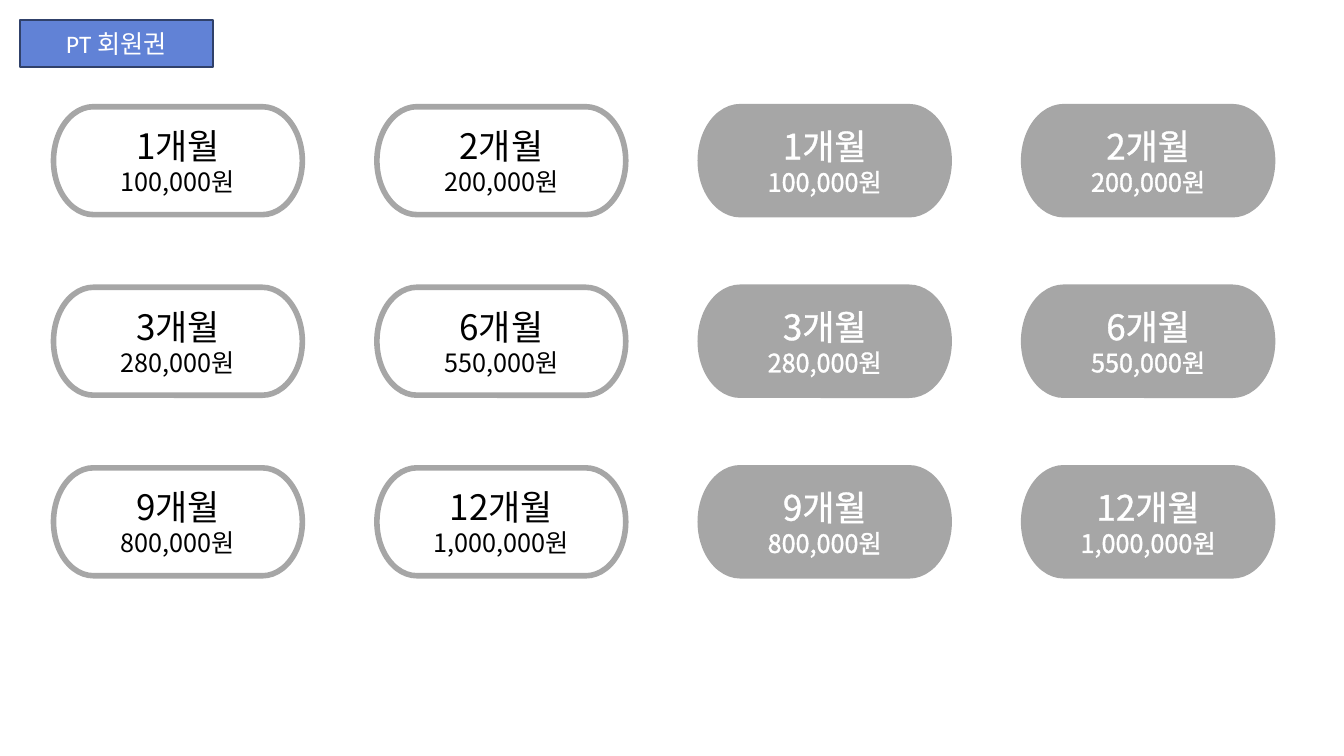
from dataclasses import dataclass

from lxml.etree import SubElement
from pptx import Presentation
from pptx.dml.color import RGBColor
from pptx.enum.shapes import MSO_SHAPE
from pptx.enum.text import MSO_ANCHOR, MSO_AUTO_SIZE, PP_ALIGN
from pptx.oxml.ns import qn
from pptx.slide import Slide
from pptx.text.text import TextFrame
from pptx.util import Cm, Pt

BLACK = RGBColor(0x00, 0x00, 0x00)
WHITE = RGBColor(0xFF, 0xFF, 0xFF)
GRAY = RGBColor(0xA6, 0xA6, 0xA6)
BLUE = RGBColor(0x61, 0x82, 0xD6)
NAVY = RGBColor(0x30, 0x41, 0x6A)
SANS = "Noto Sans CJK KR"

LEFT, TOP = 1.35, 2.69
WIDTH, HEIGHT = 6.27, 2.72
STEP_X, STEP_Y = 8.15, 4.55
COLS = 2


@dataclass
class Plan:
    term: str
    price: str


@dataclass
class Style:
    fill: RGBColor
    ink: RGBColor
    start: int  # first grid column


PLANS = [
    Plan("1개월", "100,000원"),
    Plan("2개월", "200,000원"),
    Plan("3개월", "280,000원"),
    Plan("6개월", "550,000원"),
    Plan("9개월", "800,000원"),
    Plan("12개월", "1,000,000원"),
]
STYLES = [Style(WHITE, BLACK, 0), Style(GRAY, WHITE, 2)]


def write(frame: TextFrame, text: str, *, size: float, color: RGBColor,
          font: str = SANS, edge: bool = False, first: bool = True) -> None:
    """Write one centred paragraph; edge outlines its letters."""
    para = frame.paragraphs[0] if first else frame.add_paragraph()
    para.alignment = PP_ALIGN.CENTER
    run = para.add_run()
    run.text = text
    run.font.size = Pt(size)
    run.font.name = font
    run.font.color.rgb = color
    props = run.font._element
    east = SubElement(props, qn("a:ea"), typeface=SANS)
    props.find(qn("a:latin")).addnext(east)
    if edge:
        line = SubElement(props, qn("a:ln"), w=str(Pt(0.75)))
        fill = SubElement(line, qn("a:solidFill"))
        SubElement(fill, qn("a:srgbClr"), val=str(color))
        props.insert(0, line)


def add_plan(slide: Slide, plan: Plan, style: Style, row: int, col: int) -> None:
    left = LEFT + (style.start + col) * STEP_X
    pill = slide.shapes.add_shape(
        MSO_SHAPE.FLOWCHART_TERMINATOR,
        Cm(left), Cm(TOP + row * STEP_Y), Cm(WIDTH), Cm(HEIGHT))
    pill.shadow.inherit = False
    pill.fill.solid()
    pill.fill.fore_color.rgb = style.fill
    pill.line.color.rgb = GRAY
    pill.line.width = Pt(4)
    frame = pill.text_frame
    frame.vertical_anchor = MSO_ANCHOR.MIDDLE
    write(frame, plan.term, size=25, color=style.ink, edge=True)
    write(frame, plan.price, size=18, color=style.ink, edge=True, first=False)


def add_title(slide: Slide) -> None:
    title = slide.shapes.title
    title.left, title.top = Cm(0.51), Cm(0.51)
    title.width, title.height = Cm(4.85), Cm(1.17)
    title.fill.solid()
    title.fill.fore_color.rgb = BLUE
    title.line.color.rgb = NAVY
    title.line.width = Pt(1.5)
    frame = title.text_frame
    frame.auto_size = MSO_AUTO_SIZE.NONE
    frame.vertical_anchor = MSO_ANCHOR.MIDDLE
    write(frame, "PT 회원권", size=18, color=WHITE, font="Calibri")


def main() -> None:
    deck = Presentation()
    deck.slide_width, deck.slide_height = Cm(33.87), Cm(19.05)
    slide = deck.slides.add_slide(deck.slide_layouts[5])
    for style in STYLES:
        for i, plan in enumerate(PLANS):
            add_plan(slide, plan, style, *divmod(i, COLS))
    add_title(slide)
    deck.save("out.pptx")


if __name__ == "__main__":
    main()
